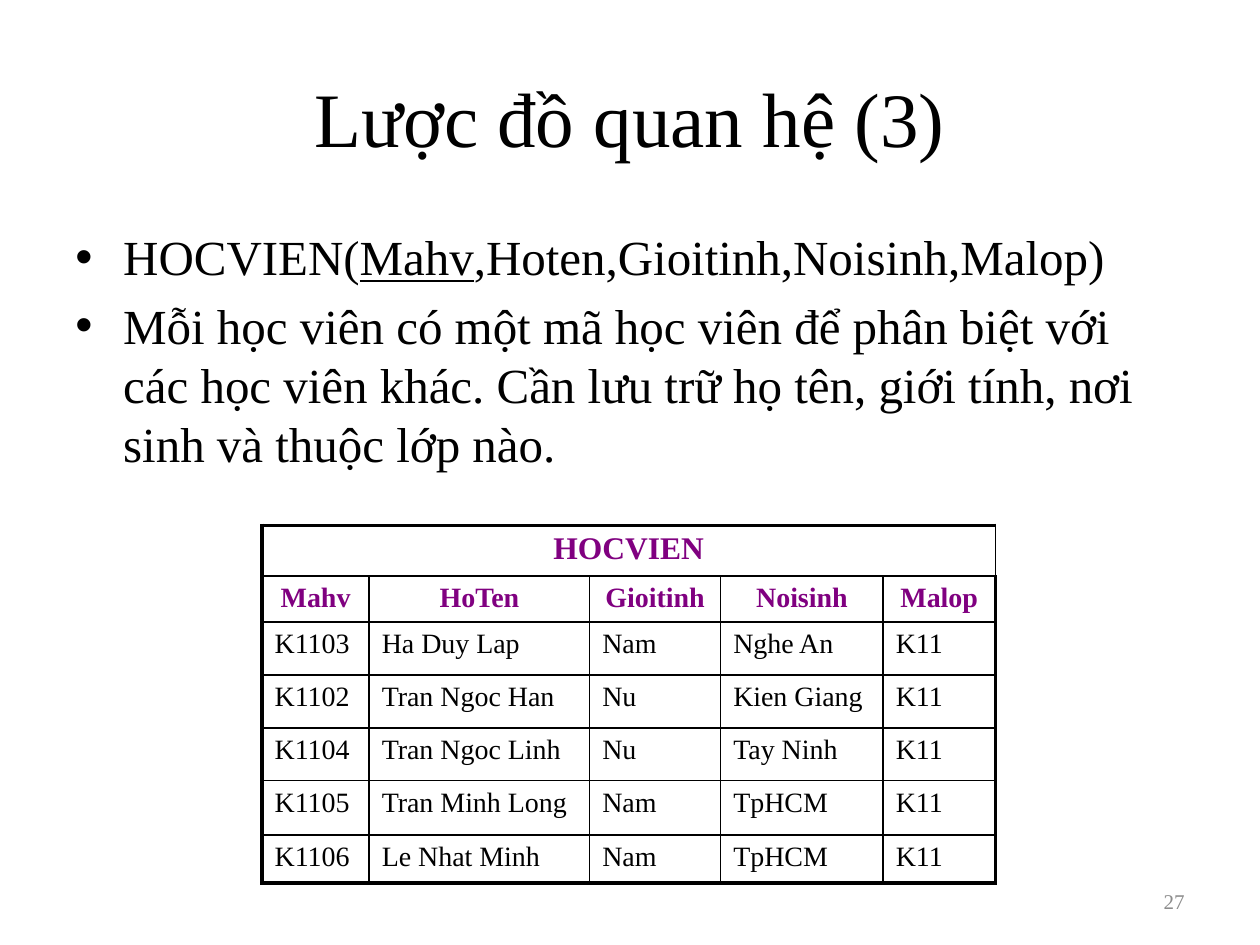
from lxml import etree
from pptx import Presentation
from pptx.dml.color import RGBColor
from pptx.enum.text import MSO_ANCHOR, PP_ALIGN
from pptx.oxml.ns import qn
from pptx.util import Inches, Pt

LEFT, CENTER, RIGHT = PP_ALIGN.LEFT, PP_ALIGN.CENTER, PP_ALIGN.RIGHT
TOP, MIDDLE = MSO_ANCHOR.TOP, MSO_ANCHOR.MIDDLE

COLORS = {"text": "000000", "heading": "800080", "number": "8C8C8C", "border": "000000"}
THIN, THICK = Pt(1), Pt(2.25)

SCHEMA = [("HOCVIEN(", False), ("Mahv", True), (",Hoten,Gioitinh,Noisinh,Malop)", False)]
DESCRIPTION = [(
    "Mỗi học viên có một mã học viên để phân biệt với các học viên khác. "
    "Cần lưu trữ họ tên, giới tính, nơi sinh và thuộc lớp nào.", False)]

STUDENTS = [
    ["HOCVIEN", "", "", "", ""],
    ["Mahv", "HoTen", "Gioitinh", "Noisinh", "Malop"],
    ["K1103", "Ha Duy Lap", "Nam", "Nghe An", "K11"],
    ["K1102", "Tran Ngoc Han", "Nu", "Kien Giang", "K11"],
    ["K1104", "Tran Ngoc Linh", "Nu", "Tay Ninh", "K11"],
    ["K1105", "Tran Minh Long", "Nam", "TpHCM", "K11"],
    ["K1106", "Le Nhat Minh", "Nam", "TpHCM", "K11"],
]
COLUMN_WIDTHS = [0.85, 1.75, 1.04, 1.29, 0.89]
ROW_HEIGHTS = [0.39, 0.36, 0.42, 0.42, 0.42, 0.43, 0.38]


class SlideBuilder:
    font_name = "Times New Roman"

    def __init__(self, slide):
        self.slide = slide

    def style(self, paragraph, size, color="text", align=LEFT, bold=False):
        paragraph.alignment = align
        font = paragraph.font
        font.name = self.font_name
        font.size = Pt(size)
        font.bold = bold
        font.color.rgb = RGBColor.from_string(COLORS[color])

    def text_frame(self, left, top, width, height, anchor=TOP):
        box = self.slide.shapes.add_textbox(
            Inches(left), Inches(top), Inches(width), Inches(height))
        frame = box.text_frame
        frame.word_wrap = True
        frame.vertical_anchor = anchor
        return frame

    def label(self, text, area, size, color="text", align=CENTER):
        paragraph = self.text_frame(*area, anchor=MIDDLE).paragraphs[0]
        paragraph.text = text
        self.style(paragraph, size, color, align)

    def bullets(self, items, area, size):
        frame = self.text_frame(*area)
        for index, spans in enumerate(items):
            paragraph = frame.add_paragraph() if index else frame.paragraphs[0]
            if index:
                paragraph.space_before = Pt(size * 0.2)
            properties = paragraph._p.get_or_add_pPr()
            properties.set("marL", str(Inches(0.38)))
            properties.set("indent", str(-Inches(0.38)))
            etree.SubElement(properties, qn("a:buFont"), typeface="Arial")
            etree.SubElement(properties, qn("a:buChar"), char="•")
            self.style(paragraph, size)
            for text, underlined in spans:
                span = paragraph.add_run()
                span.text = text
                if underlined:
                    span.font.underline = True

    def borders(self, cell, widths):
        properties = cell._tc.get_or_add_tcPr()
        for index, (side, width) in enumerate(widths.items()):
            line = etree.Element(qn(f"a:ln{side}"), w=str(width))
            fill = etree.SubElement(line, qn("a:solidFill"))
            etree.SubElement(fill, qn("a:srgbClr"), val=COLORS["border"])
            properties.insert(index, line)

    def table(self, rows, left, top, column_widths, row_heights):
        last_row, last_column = len(rows) - 1, len(column_widths) - 1
        table = self.slide.shapes.add_table(
            len(rows), len(column_widths), Inches(left), Inches(top),
            Inches(sum(column_widths)), Inches(sum(row_heights))).table
        table.first_row = table.horz_banding = False
        for column, width in zip(table.columns, column_widths):
            column.width = Inches(width)
        for row, height in zip(table.rows, row_heights):
            row.height = Inches(height)
        for r, values in enumerate(rows):
            for c, value in enumerate(values):
                cell = table.cell(r, c)
                cell.fill.background()
                self.borders(cell, {
                    "L": THIN if c else THICK,
                    "R": THICK if c == last_column else THIN,
                    "T": THIN if r else THICK,
                    "B": THICK if r == last_row else THIN,
                })
                paragraph = cell.text_frame.paragraphs[0]
                paragraph.text = value
                heading = r < 2
                self.style(paragraph, 16 if r else 18, "heading" if heading else "text",
                           CENTER if heading else LEFT, heading)
        table.cell(0, 0).merge(table.cell(0, last_column))


def main():
    deck = Presentation()
    deck.slide_width, deck.slide_height = Inches(10), Inches(7.5)
    page = SlideBuilder(deck.slides.add_slide(deck.slide_layouts[6]))
    page.label("Lược đồ quan hệ (3)", (0.5, 0.3, 9, 1.25), 44)
    page.bullets([SCHEMA, DESCRIPTION], (0.5, 1.75, 9, 4.95), 28)
    page.label("27", (7.17, 6.95, 2.33, 0.4), 12, "number", RIGHT)
    page.table(STUDENTS, 2.08, 4.17, COLUMN_WIDTHS, ROW_HEIGHTS)
    deck.save("out.pptx")


if __name__ == "__main__":
    main()
